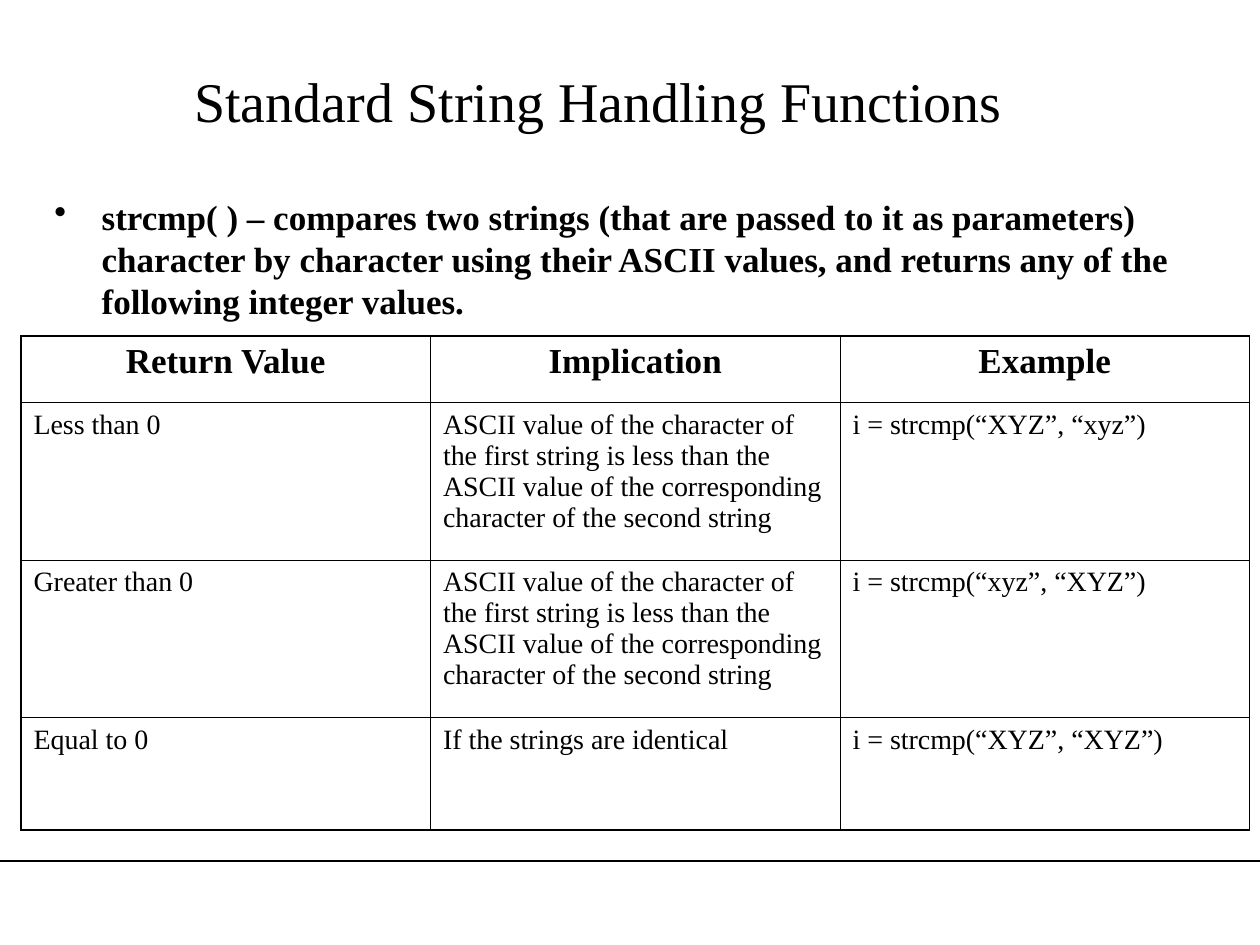
from pptx import Presentation
from pptx import util as u
from pptx.dml.color import RGBColor
from pptx.enum import shapes, text
from pptx.oxml.ns import qn
from lxml import etree

Pt = u.Pt
BLACK = "000000"
FONT = "Times New Roman"
HEADING = dict(name=FONT, size=Pt(32), bold=False)
STRONG = dict(name=FONT, size=Pt(20), bold=True)
PLAIN = dict(name=FONT, size=Pt(16), bold=False)
COMPARISON = ("ASCII value of the character of the first string is less than the "
              "ASCII value of the corresponding character of the second string")
ROWS = [
    ["Return Value", "Implication", "Example"],
    ["Less than 0", COMPARISON, "i = strcmp(“XYZ”, “xyz”)"],
    ["Greater than 0", COMPARISON, "i = strcmp(“xyz”, “XYZ”)"],
    ["Equal to 0", "If the strings are identical", "i = strcmp(“XYZ”, “XYZ”)"],
]
ROW_HEIGHTS = [38.2, 90, 90, 64]


def color(value):
    return RGBColor.from_string(value)


def write(p, words, style, align=text.PP_ALIGN.LEFT):
    p.alignment = align
    r = p.add_run()
    r.text = words
    for name, value in style.items():
        setattr(r.font, name, value)
    r.font.color.rgb = color(BLACK)


def add_text(s, box, anchor):
    tf = s.shapes.add_textbox(*map(Pt, box)).text_frame
    tf.word_wrap = True
    tf.vertical_anchor = anchor
    return tf.paragraphs[0]


def add_title(s, box):
    p = add_text(s, box, text.MSO_ANCHOR.MIDDLE)
    write(p, "Standard String Handling Functions", HEADING, text.PP_ALIGN.CENTER)


def add_body(s, box):
    p = add_text(s, box, text.MSO_ANCHOR.TOP)
    pPr = p._p.get_or_add_pPr()
    pPr.set("marL", str(Pt(27)))
    pPr.set("indent", str(Pt(-27)))
    etree.SubElement(pPr, qn("a:buChar"), char="•")
    write(p, "strcmp( ) – compares two strings (that are passed to it as parameters) "
          "character by character using their ASCII values, and returns any of the "
          "following integer values.", STRONG)


def set_borders(cell, outer):
    tcPr = cell._tc.get_or_add_tcPr()
    for i, side in enumerate("LRTB"):
        width = Pt(1.08) if side in outer else Pt(0.45)
        ln = etree.Element(qn(f"a:ln{side}"), w=str(width))
        fill = etree.SubElement(ln, qn("a:solidFill"))
        etree.SubElement(fill, qn("a:srgbClr"), val=BLACK)
        tcPr.insert(i, ln)


def add_return_values(s, box):
    n, m = len(ROWS), len(ROWS[0])
    table = s.shapes.add_table(n, m, *map(Pt, box)).table
    for column in table.columns:
        column.width = Pt(box[2] / m)
    for i, (row, height) in enumerate(zip(ROWS, ROW_HEIGHTS)):
        table.rows[i].height = Pt(height)
        for j, words in enumerate(row):
            cell = table.cell(i, j)
            cell.fill.background()
            edges = {"L": j == 0, "R": j == m - 1, "T": i == 0, "B": i == n - 1}
            set_borders(cell, [side for side, on in edges.items() if on])
            style, align = ((PLAIN, text.PP_ALIGN.LEFT) if i
                            else (STRONG, text.PP_ALIGN.CENTER))
            write(cell.text_frame.paragraphs[0], words, style, align)


def add_rule(s, box):
    x, y, w, h = box
    line = s.shapes.add_connector(shapes.MSO_CONNECTOR.STRAIGHT,
                                  Pt(x), Pt(y), Pt(x + w), Pt(y + h))
    line.line.color.rgb = color(BLACK)
    line.line.width = Pt(0.75)
    etree.SubElement(line._element.spPr, qn("a:effectLst"))


def main():
    prs = Presentation()
    prs.slide_width, prs.slide_height = Pt(720), Pt(540)
    s = prs.slides.add_slide(prs.slide_layouts[6])
    add_rule(s, (0, 492, 720, 0))
    add_title(s, (36, 18, 612, 78))
    add_body(s, (24, 108, 660, 108))
    add_return_values(s, (12, 192, 702, sum(ROW_HEIGHTS)))
    prs.save("out.pptx")


if __name__ == "__main__":
    main()
